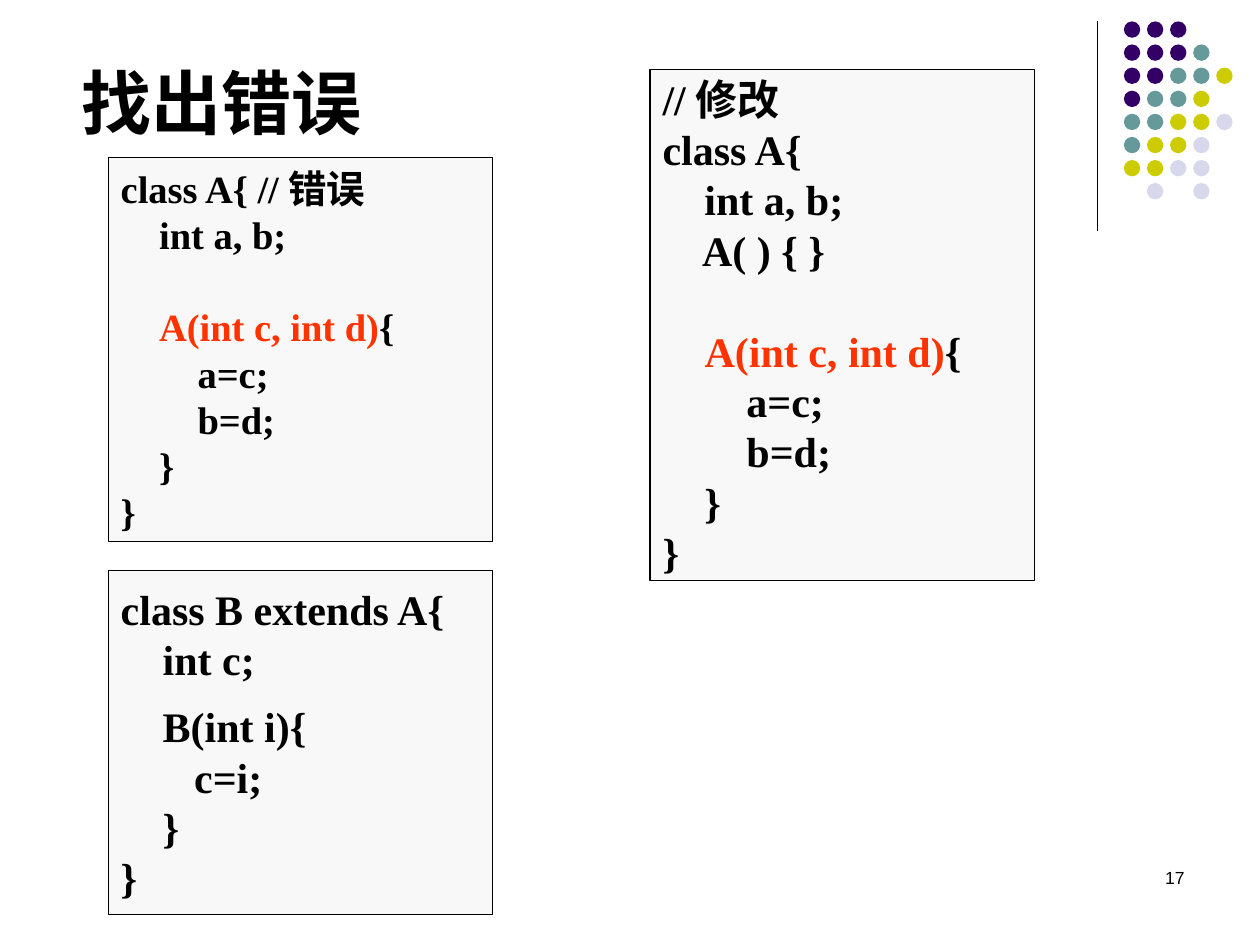
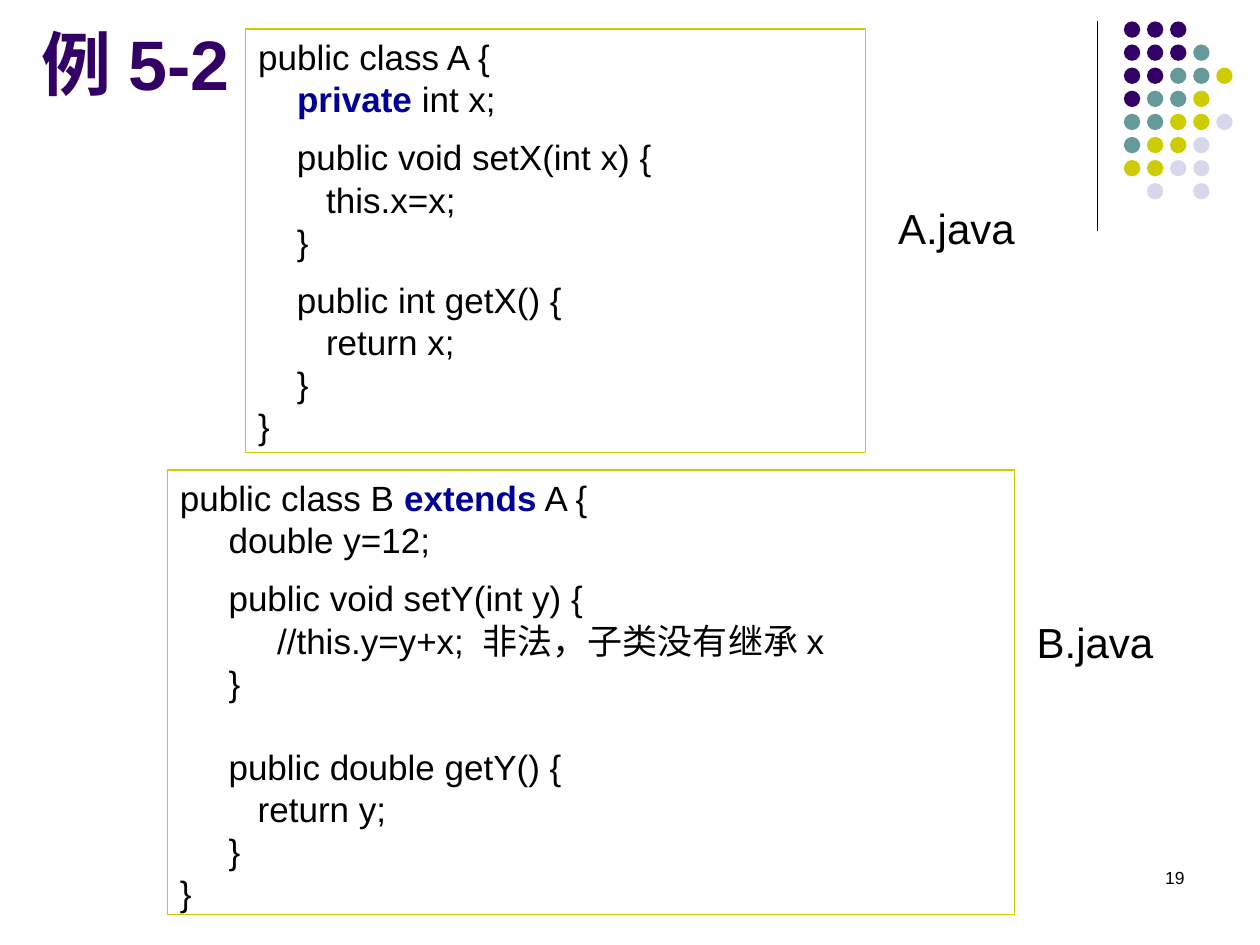
import pptx
import pptx.dml.color
import pptx.enum.shapes
import pptx.enum.text
import pptx.oxml.ns
import pptx.util
from lxml import etree

Inches = pptx.util.Inches
Pt = pptx.util.Pt
Anchor = pptx.enum.text.MSO_ANCHOR
Align = pptx.enum.text.PP_ALIGN
Shape = pptx.enum.shapes.MSO_SHAPE

COLORS = {
    "black": "000000", "purple": "330066", "teal": "669999", "olive": "CCCC00",
    "lavender": "D8D8EC", "panel": "F8F8F8", "red": "FF3300", "navy": "000099",
}
SERIF, SANS = "Times New Roman", "Arial"
LINE_HEIGHT = 1.2  # multiple of the text size

# Corner ornament: one letter per dot
DOT_ROWS = ["PPP", "PPPT", "PPTTY", "PTTY", "TTYYL", "TYYL", "YYLL", " L L"]
DOT_COLORS = {"P": "purple", "T": "teal", "Y": "olive", "L": "lavender"}
DOT_SIZE, DOT_STEP = 0.13, 0.55 / 3

# Code listings: a number is a vertical gap, given as the text size of an empty line
CLASS_A_WRONG = [
    "class A{ //错误", "    int a, b;", 22, "    A(int c, int d){",
    "        a=c;", "        b=d;", "    }", "}",
]
CLASS_A_FIXED = [
    "//修改", "class A{", "    int a, b;", "    A( ) { }", 24, "    A(int c, int d){",
    "        a=c;", "        b=d;", "    }", "}",
]
CLASS_B_SHORT = [
    "class B extends A{", "    int c;", 8, "    B(int i){", "       c=i;", "    }", "}",
]
A_JAVA = [
    "public class A {", "    private int x;", 8,
    "    public void setX(int x) {", "       this.x=x;", "    }", 8,
    "    public int getX() {", "       return x;", "    }", "}",
]
B_JAVA = [
    "public class B extends A {", "     double y=12;", 8,
    "     public void setY(int y) {",
    "          //this.y=y+x; 非法，子类没有继承x", "     }", 20,
    "     public double getY() {", "        return y;", "     }", "}",
]


def rgb(name):
    return pptx.dml.color.RGBColor.from_string(COLORS[name])


def style_font(font, size, name, color="black", bold=False):
    font.size, font.name, font.bold = Pt(size), name, bold
    font.color.rgb = rgb(color)


def add_label(slide, box, text, size, name=SANS, color="black", bold=False,
              anchor=Anchor.TOP, align=Align.LEFT):
    frame = slide.shapes.add_textbox(*map(Inches, box)).text_frame
    frame.word_wrap = True
    frame.vertical_anchor = anchor
    frame.text = text
    paragraph = frame.paragraphs[0]
    paragraph.alignment = align
    style_font(paragraph.runs[0].font, size, name, color, bold)


def add_title(slide, box, text, name, color):
    add_label(slide, box, text, 40, name, color, True, Anchor.BOTTOM)


def add_dots(slide, left, top):
    for row, letters in enumerate(DOT_ROWS):
        for column, letter in enumerate(letters):
            if letter == " ":
                continue
            dot = slide.shapes.add_shape(
                Shape.OVAL, Inches(left + column * DOT_STEP),
                Inches(top + row * DOT_STEP), Inches(DOT_SIZE), Inches(DOT_SIZE))
            dot.shadow.inherit = False
            dot.fill.solid()
            dot.fill.fore_color.rgb = rgb(DOT_COLORS[letter])
            dot.line.fill.background()


def add_base_slide(presentation, number):
    """Blank slide with the corner ornament and the page number."""
    slide = presentation.slides.add_slide(presentation.slide_layouts[6])
    rule = slide.shapes.add_connector(
        pptx.enum.shapes.MSO_CONNECTOR.STRAIGHT,
        Inches(8.71), Inches(0.17), Inches(8.71), Inches(1.83))
    rule.line.color.rgb = rgb("black")
    rule.line.width = Pt(0.75)
    etree.SubElement(rule._element.spPr, pptx.oxml.ns.qn("a:effectLst"))
    add_dots(slide, 8.92, 0.17)
    add_label(slide, (7.17, 6.83, 2.33, 0.5), str(number), 10, align=Align.RIGHT)
    return slide


def add_code(slide, box, lines, size, name, keyword="", accent="black",
             bold=False, fill=None, border="black", anchor=Anchor.TOP):
    """Framed listing in which the keyword is bold and in the accent colour."""
    panel = slide.shapes.add_shape(Shape.RECTANGLE, *map(Inches, box))
    panel.shadow.inherit = False
    if fill:
        panel.fill.solid()
        panel.fill.fore_color.rgb = rgb(fill)
    else:
        panel.fill.background()
    panel.line.color.rgb = rgb(border)
    panel.line.width = Pt(0.75)

    frame = panel.text_frame
    frame.word_wrap = True
    frame.vertical_anchor = anchor
    gap = 0
    paragraph = None
    for line in lines:
        if isinstance(line, int):
            gap = line
            continue
        paragraph = frame.add_paragraph() if paragraph else frame.paragraphs[0]
        paragraph.alignment = Align.LEFT
        paragraph.line_spacing = Pt(size * LINE_HEIGHT)
        if gap:
            paragraph.space_before = Pt(gap * LINE_HEIGHT)
            gap = 0
        parts = line.partition(keyword) if keyword else [line]
        for part in filter(None, parts):
            run = paragraph.add_run()
            run.text = part
            marked = part == keyword
            style_font(run.font, size, name, accent if marked else "black",
                       bold or marked)


def build_error_slide(presentation):
    slide = add_base_slide(presentation, 17)
    add_title(slide, (0.55, 0.23, 7.7, 0.96), "找出错误", SERIF, "black")
    for box, lines, size in [
        ((0.86, 1.25, 3.05, 3.05), CLASS_A_WRONG, 22),
        ((0.86, 4.53, 3.05, 2.73), CLASS_B_SHORT, 24),
        ((5.16, 0.55, 3.05, 4.06), CLASS_A_FIXED, 24),
    ]:
        add_code(slide, box, lines, size, SERIF, "A(int c, int d)", "red",
                 bold=True, fill="panel", anchor=Anchor.MIDDLE)


def build_example_slide(presentation):
    slide = add_base_slide(presentation, 19)
    add_title(slide, (0.23, 0.23, 1.72, 0.65), "例5-2", SANS, "purple")
    for box, lines, keyword in [
        ((1.95, 0.23, 4.92, 3.36), A_JAVA, "private"),
        ((1.33, 3.73, 6.72, 3.53), B_JAVA, "extends"),
    ]:
        add_code(slide, box, lines, 20, SANS, keyword, "navy", border="olive")
    add_label(slide, (7.03, 1.56, 1.56, 0.5), "A.java", 24)
    add_label(slide, (8.13, 4.84, 1.56, 0.5), "B.java", 24)


def main():
    presentation = pptx.Presentation()
    presentation.slide_width = Inches(10)
    presentation.slide_height = Inches(7.5)
    build_error_slide(presentation)
    build_example_slide(presentation)
    presentation.save("out.pptx")


if __name__ == "__main__":
    main()
